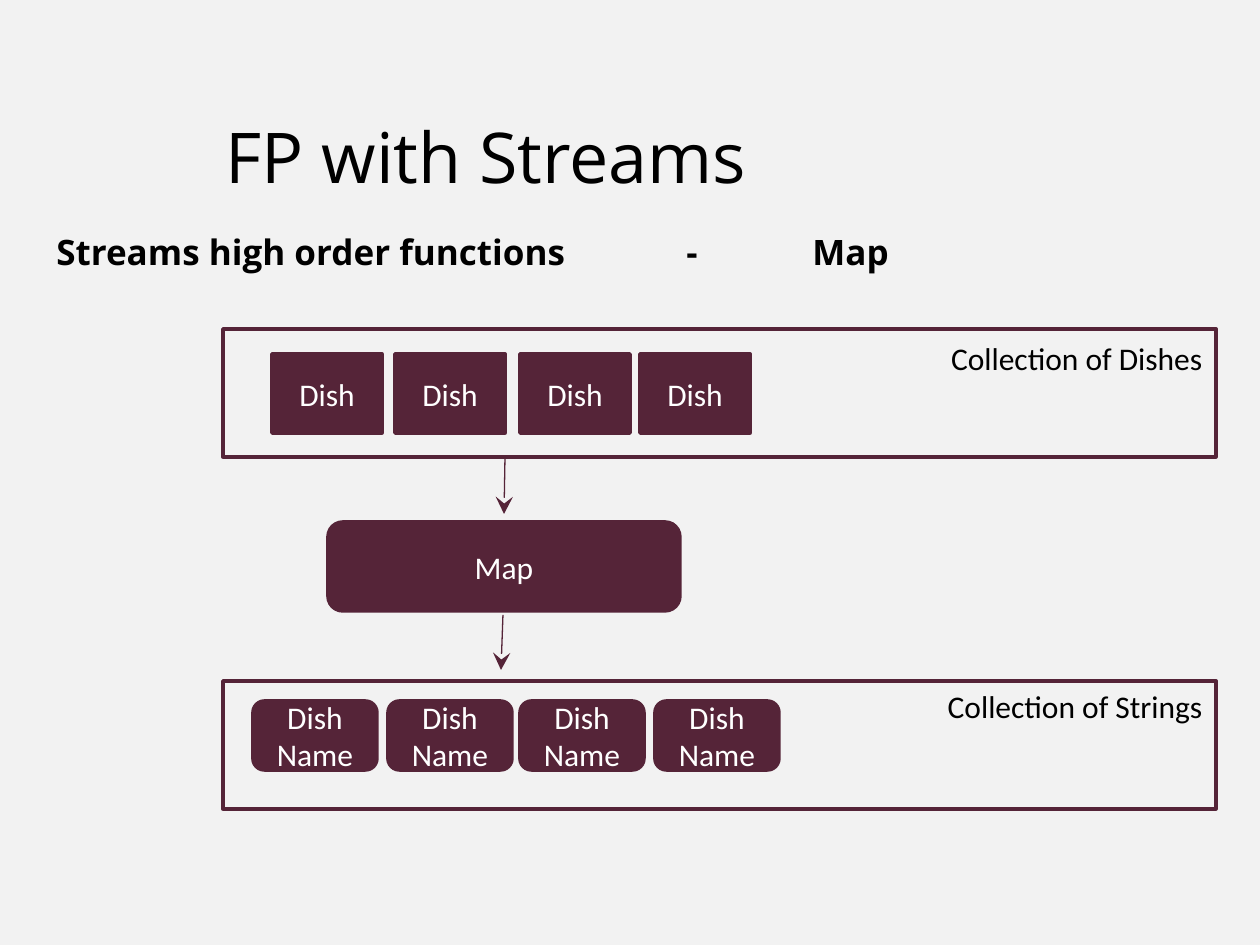
"""Build the slide on mapping a stream of dishes to their names."""
from lxml import etree
from pptx import Presentation, util as u
from pptx.dml.color import RGBColor
from pptx.enum import shapes, text
from pptx.oxml.ns import qn

HUES = {"back": "F2F2F2", "plum": "552438", "ink": "000000", "white": "FFFFFF"}
RECT = shapes.MSO_SHAPE.RECTANGLE
ROUND = shapes.MSO_SHAPE.ROUNDED_RECTANGLE
LEFT, MID, RIGHT = text.PP_ALIGN.LEFT, text.PP_ALIGN.CENTER, text.PP_ALIGN.RIGHT
TOP, CORE = text.MSO_ANCHOR.TOP, text.MSO_ANCHOR.MIDDLE

HEADS = [
    ("FP with Streams", (213, 76, 1121, 159), 40, False, CORE),
    ("Streams high order functions\t-\tMap", (44, 224, 1171, 357), 20, True, TOP),
]
TABS = [630, 756]
ROWS = [
    (RECT, "Dish", [272, 395, 520, 640], (354, 110, 79)),
    (ROUND, "Map", [328], (522, 352, 89)),
    (ROUND, "Dish Name", [253, 388, 520, 655], (701, 124, 69)),
]
FRAMES = [329, 681]
ARROWS = [(505, 457, 504, 514), (503, 615, 501, 670)]
LABELS = [
    ("Collection of Dishes", (935, 333, 280, 50)),
    ("Collection of Strings", (932, 681, 283, 50)),
]


def px(n):
    return u.Emu(round(n * 914400 / 126))


def hue(name):
    return RGBColor.from_string(HUES[name])


def write(shape, words, size, face, tone, align, anchor, bold=False, tabs=()):
    frame = shape.text_frame
    frame.word_wrap = True
    frame.vertical_anchor = anchor
    para = frame.paragraphs[0]
    para.alignment = align
    if tabs:
        stops = etree.SubElement(para._p.get_or_add_pPr(), qn("a:tabLst"))
        for stop in tabs:
            etree.SubElement(stops, qn("a:tab"), pos=str(px(stop)), algn="l")
    run = para.add_run()
    run.text = words
    font = run.font
    font.size, font.name, font.bold = u.Pt(size), face, bold
    font.color.rgb = hue(tone)


def box(slide, kind, spot, filled):
    shape = slide.shapes.add_shape(kind, *map(px, spot))
    shape.shadow.inherit = False
    if filled:
        shape.fill.solid()
        shape.fill.fore_color.rgb = hue("plum")
    else:
        shape.fill.background()
    shape.line.color.rgb = hue("plum")
    shape.line.width = u.Pt(2)
    return shape


def arrow(slide, ends):
    link = slide.shapes.add_connector(shapes.MSO_CONNECTOR.STRAIGHT, *map(px, ends))
    link.line.color.rgb = hue("plum")
    link.line.width = u.Pt(0.75)
    etree.SubElement(link.line._get_or_add_ln(), qn("a:tailEnd"),
                     type="stealth", w="lg", len="lg")
    etree.SubElement(link._element.spPr, qn("a:effectLst"))


def main():
    deck = Presentation()
    deck.slide_width, deck.slide_height = px(1260), px(945)
    slide = deck.slides.add_slide(deck.slide_layouts[6])
    slide.background.fill.solid()
    slide.background.fill.fore_color.rgb = hue("back")

    for words, spot, size, bold, anchor in HEADS:
        head = slide.shapes.add_textbox(*map(px, spot))
        tabs = TABS if "\t" in words else ()
        write(head, words, size, "Open Sans", "ink", LEFT, anchor, bold, tabs)
    for kind, words, lefts, (top, wide, high) in ROWS:
        for left in lefts:
            item = box(slide, kind, (left, top, wide, high), True)
            write(item, words, 18, "Calibri", "white", MID, CORE)
    for top in FRAMES:
        box(slide, RECT, (223, top, 993, 128), False)
    for ends in ARROWS:
        arrow(slide, ends)
    for words, spot in LABELS:
        label = slide.shapes.add_textbox(*map(px, spot))
        write(label, words, 18, "Calibri", "ink", RIGHT, TOP)
    deck.save("out.pptx")


if __name__ == "__main__":
    main()
